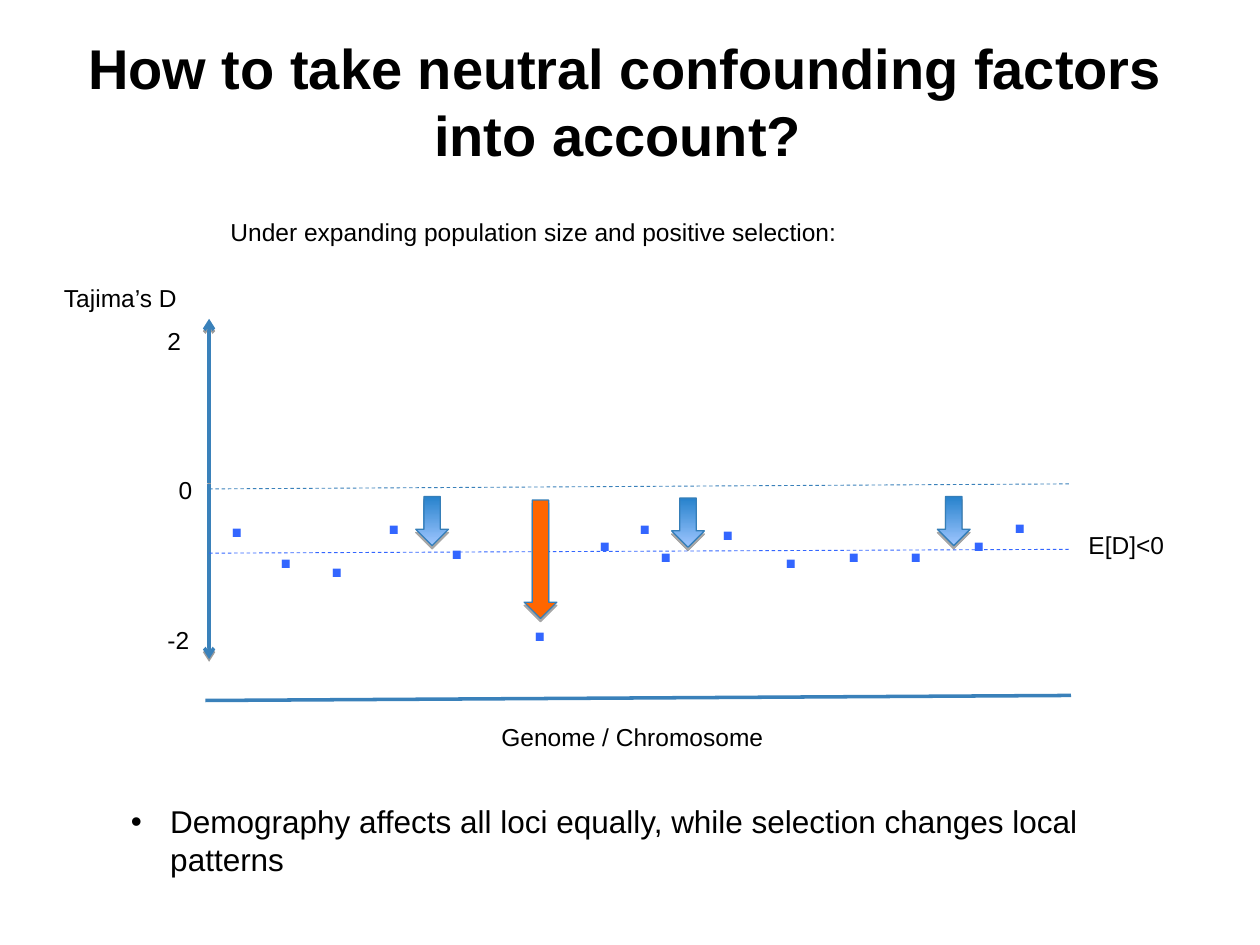
from dataclasses import dataclass
from typing import Optional

from lxml.etree import SubElement
from pptx import Presentation
from pptx.dml.color import RGBColor
from pptx.enum.dml import MSO_LINE
from pptx.enum.shapes import MSO_CONNECTOR, MSO_SHAPE
from pptx.enum.text import MSO_ANCHOR, MSO_AUTO_SIZE, PP_ALIGN
from pptx.oxml.ns import qn
from pptx.util import Pt

COLORS = {
    "text": "000000",
    "axis": "3A81BA",
    "locus": "3366FF",
    "outline": "357EB8",
    "gradient_top": "2782CC",
    "gradient_bottom": "9FC6FF",
    "selection": "FF6600",
}
FONT = "Arial"


@dataclass
class Label:
    text: str
    left: float
    top: float
    width: float
    height: float = 24
    size: float = 14
    color: str = "text"
    bold: bool = False
    wrap: bool = False


@dataclass
class Line:
    x1: float
    y1: float
    x2: float
    y2: float
    width: float
    color: str = "axis"
    dashed: bool = False
    arrow: bool = False


@dataclass
class Arrow:
    left: float
    top: float
    height: float = 28.1
    solid: Optional[str] = None


LINES = [
    Line(119.5, 279.4, 612, 276.5, 0.5, dashed=True),
    Line(119.5, 275.8, 119.5, 182.2, 2, arrow=True),
    Line(119.5, 276.5, 119.5, 376.6, 2, arrow=True),
    Line(117.4, 400.3, 612, 397.4, 2),
    Line(119.5, 316.1, 612, 313.9, 0.5, color="locus", dashed=True),
]
LABELS = [
    Label("Tajima’s D", 29.5, 158.4, 81),
    Label("2", 88.6, 182.9, 23),
    Label("0", 95, 267.8, 23),
    Label("-2", 88.6, 353.5, 29),
    Label("Genome / Chromosome", 279.4, 409, 166),
    Label("E[D]<0", 614.9, 299.5, 59),
    Label("Under expanding population size and positive selection:",
          124.6, 120.2, 363),
]
LOCI = [
    (123.8, 271.4), (151.9, 289.4), (181.4, 294.5), (213.8, 270),
    (249.8, 284.4), (297.4, 331.2), (334.1, 279.4), (357.1, 270),
    (369.4, 285.8), (404.6, 273.6), (440.6, 289.4), (476.6, 285.8),
    (511.9, 285.8), (547.9, 279.4), (571.7, 269.3),
]
ARROWS = [
    Arrow(237.6, 283.7),
    Arrow(535.7, 283.7),
    Arrow(383.8, 284.6),
    Arrow(299.5, 285.8, 67.7, "selection"),
]
CONCLUSION = Label(
    "Demography affects all loci equally, while selection changes local patterns",
    67.7, 455, 625, 28.8, size=18, wrap=True)


def rgb(name: str) -> RGBColor:
    return RGBColor.from_string(COLORS[name])


def add_span(para, text: str, size: float, color: str, bold: bool) -> None:
    span = para.add_run()
    span.text = text
    span.font.name = FONT
    span.font.size = Pt(size)
    span.font.bold = bold
    span.font.color.rgb = rgb(color)


def add_shadow(effects, distance: float, opacity: int) -> None:
    shadow = SubElement(effects, qn("a:outerShdw"), blurRad="0",
                        dist=str(Pt(distance)), dir="5400000", rotWithShape="0")
    color = SubElement(shadow, qn("a:srgbClr"), val="000000")
    SubElement(color, qn("a:alpha"), val=str(opacity * 1000))


def add_title(page, text: str) -> None:
    title = page.shapes.title
    title.left, title.top = Pt(39.6), Pt(33.8)
    title.width, title.height = Pt(635.8), Pt(47.5)
    frame = title.text_frame
    frame.word_wrap = True
    frame.auto_size = MSO_AUTO_SIZE.NONE
    frame.vertical_anchor = MSO_ANCHOR.MIDDLE
    frame.margin_left = frame.margin_right = Pt(7.2)
    frame.margin_top = frame.margin_bottom = Pt(7.2)
    para = frame.paragraphs[0]
    para.alignment = PP_ALIGN.CENTER
    add_span(para, text, 32, "text", True)


def add_label(page, label: Label):
    box = page.shapes.add_textbox(Pt(label.left), Pt(label.top),
                                  Pt(label.width), Pt(label.height))
    frame = box.text_frame
    frame.word_wrap = label.wrap
    frame.auto_size = MSO_AUTO_SIZE.SHAPE_TO_FIT_TEXT
    para = frame.paragraphs[0]
    add_span(para, label.text, label.size, label.color, label.bold)
    return para


def add_bullet(para, indent: float) -> None:
    properties = para._p.get_or_add_pPr()
    properties.set("marL", str(Pt(indent)))
    properties.set("indent", str(-Pt(indent)))
    SubElement(properties, qn("a:buFont"), typeface=FONT)
    SubElement(properties, qn("a:buChar"), char="•")


def add_line(page, line: Line) -> None:
    connector = page.shapes.add_connector(
        MSO_CONNECTOR.STRAIGHT, Pt(line.x1), Pt(line.y1), Pt(line.x2), Pt(line.y2))
    connector.line.color.rgb = rgb(line.color)
    connector.line.width = Pt(line.width)
    if line.dashed:
        connector.line.dash_style = MSO_LINE.DASH
    properties = connector._element.spPr
    effects = SubElement(properties, qn("a:effectLst"))
    if line.arrow:
        SubElement(properties.find(qn("a:ln")), qn("a:tailEnd"), type="arrow")
        add_shadow(effects, 1.6, 38)


def add_arrow(page, arrow: Arrow) -> None:
    shape = page.shapes.add_shape(MSO_SHAPE.DOWN_ARROW, Pt(arrow.left),
                                  Pt(arrow.top), Pt(18.7), Pt(arrow.height))
    if arrow.solid:
        shape.fill.solid()
        shape.fill.fore_color.rgb = rgb(arrow.solid)
    else:
        shape.fill.gradient()
        shape.fill.gradient_angle = 270
        for stop, name in zip(shape.fill.gradient_stops,
                              ("gradient_top", "gradient_bottom")):
            stop.color.rgb = rgb(name)
    shape.line.color.rgb = rgb("outline")
    shape.line.width = Pt(0.75)
    shape.shadow.inherit = False
    add_shadow(shape._element.spPr.find(qn("a:effectLst")), 1.8, 35)


def main() -> None:
    deck = Presentation()
    deck.slide_width, deck.slide_height = Pt(720), Pt(540)
    page = deck.slides.add_slide(deck.slide_layouts[5])
    add_title(page, "How to take neutral confounding factors into account? ")
    for line in LINES:
        add_line(page, line)
    for label in LABELS:
        add_label(page, label)
    for left, top in LOCI:
        add_label(page, Label(".", left, top, 23, 45.4, 32, "locus", True))
    for arrow in ARROWS:
        add_arrow(page, arrow)
    add_bullet(add_label(page, CONCLUSION), 22.5)
    deck.save("out.pptx")


if __name__ == "__main__":
    main()
